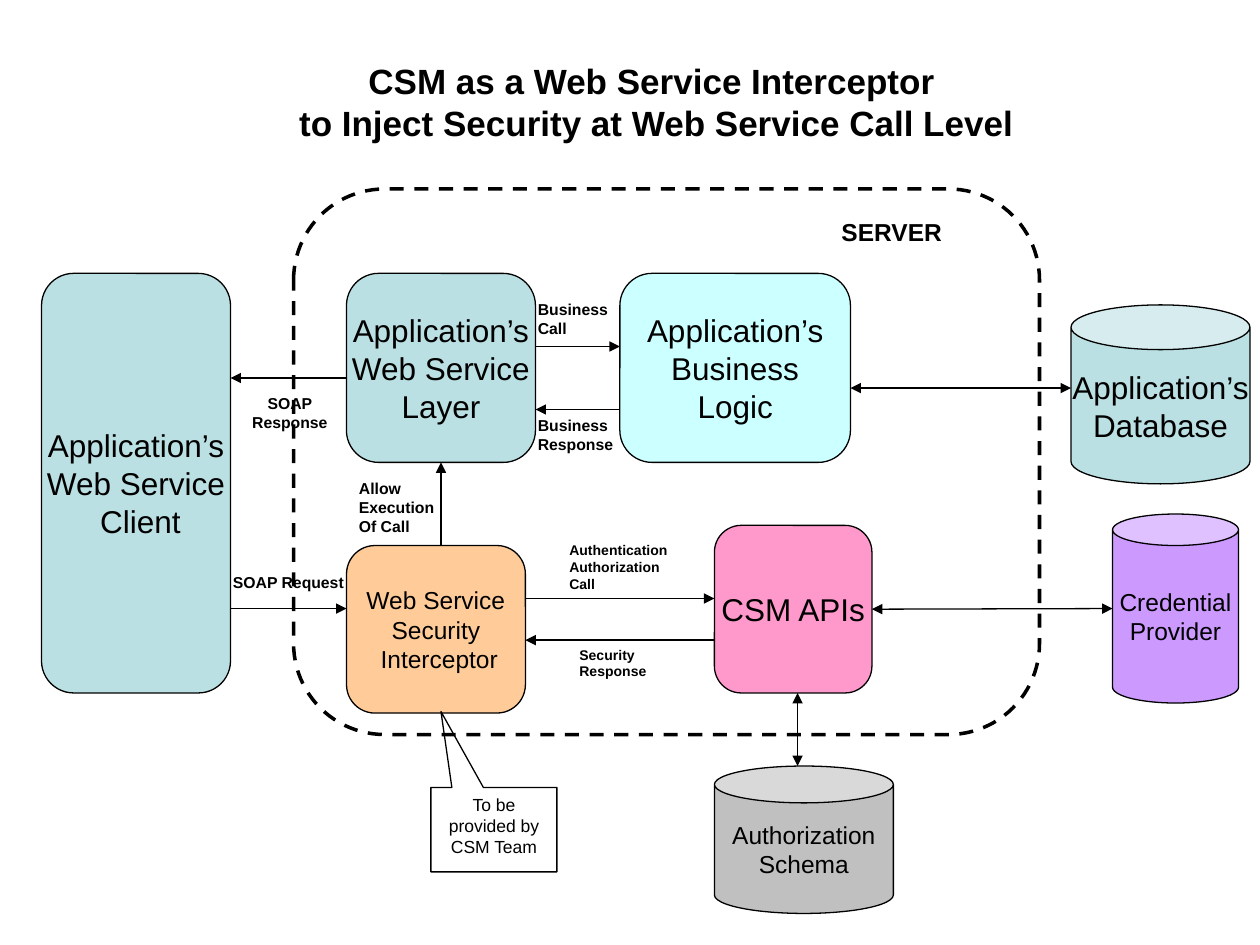
from lxml.etree import SubElement
from pptx import Presentation
from pptx.dml.color import RGBColor
from pptx.enum.dml import MSO_LINE
from pptx.enum.shapes import MSO_CONNECTOR, MSO_SHAPE
from pptx.enum.text import MSO_ANCHOR, MSO_AUTO_SIZE, PP_ALIGN
from pptx.oxml.ns import qn
from pptx.util import Inches, Pt

COLORS = {
    "black": "000000", "teal": "BBE0E3", "cyan": "CCFFFF", "orange": "FFCC99",
    "pink": "FF99CC", "purple": "CC99FF", "gray": "C0C0C0",
}


def write_text(shape, text, size, bold=False, align=PP_ALIGN.CENTER):
    frame = shape.text_frame
    frame.text = text
    font_format = {"name": "Arial", "size": Pt(size), "bold": bold}
    for paragraph in frame.paragraphs:
        paragraph.alignment = align
        for attribute, value in font_format.items():
            setattr(paragraph.font, attribute, value)
        paragraph.font.color.rgb = RGBColor.from_string(COLORS["black"])


def add_outlined(kind, box, fill=None, width=0.75):
    """Add a preset shape with a black outline; without a fill it is hollow."""
    shape = slide.shapes.add_shape(kind, *map(Inches, box))
    shape.shadow.inherit = False
    if fill:
        shape.fill.solid()
        shape.fill.fore_color.rgb = RGBColor.from_string(COLORS[fill])
    else:
        shape.fill.background()
    shape.line.color.rgb = RGBColor.from_string(COLORS["black"])
    shape.line.width = Pt(width)
    return shape


presentation = Presentation()
presentation.slide_width = Inches(10)
presentation.slide_height = Inches(7.5)
slide = presentation.slides.add_slide(presentation.slide_layouts[6])

# Components: name, preset, box, fill, text, size
ROUNDED, CAN = MSO_SHAPE.ROUNDED_RECTANGLE, MSO_SHAPE.CAN
components = [
    ("layer", ROUNDED, (2.75, 2.17, 1.5, 1.5), "teal", "Application’s\nWeb Service\nLayer", 18),
    ("interceptor", ROUNDED, (2.75, 4.33, 1.42, 1.33), "orange",
     "Web Service\nSecurity\n Interceptor", 14),
    ("apis", ROUNDED, (5.67, 4.17, 1.25, 1.33), "pink", "CSM APIs", 18),
    ("schema", CAN, (5.67, 6.08, 1.42, 1.17), "gray", "Authorization\nSchema", 14),
    ("provider", CAN, (8.83, 4.08, 1, 1.5), "purple", "Credential\nProvider", 14),
    ("client", ROUNDED, (0.33, 2.17, 1.5, 3.33), "teal", "Application’s\nWeb Service\n Client", 18),
    ("logic", ROUNDED, (4.92, 2.17, 1.83, 1.5), "cyan", "Application’s\nBusiness\nLogic", 18),
    ("database", CAN, (8.5, 2.42, 1.42, 1.42), "teal", "Application’s\nDatabase", 18),
]
shapes = {}
for name, kind, box, fill, text, size in components:
    shape = add_outlined(kind, box, fill)
    shape.adjustments[0] = 0.25 if kind == CAN else 0.17
    shape.text_frame.word_wrap = False
    shape.text_frame.vertical_anchor = MSO_ANCHOR.MIDDLE
    write_text(shape, text, size)
    shapes[name] = shape

# Arrows: start, end, arrowhead at both ends
arrows = {
    "authorization call": ((4.17, 4.75), (5.67, 4.75), False),
    "security response": ((5.67, 5.08), (4.17, 5.08), False),
    "credentials": ((6.92, 4.83), (8.83, 4.83), True),
    "schema access": ((6.33, 6.08), (6.33, 5.5), True),
    "request": ((1.83, 4.83), (2.75, 4.83), False),
    "response": ((2.75, 3), (1.83, 3), False),
    "allow": ((3.5, 4.33), (3.5, 3.67), False),
    "business call": ((4.25, 2.75), (4.92, 2.75), False),
    "business response": ((4.92, 3.25), (4.25, 3.25), False),
    "data access": ((6.75, 3.08), (8.5, 3.08), True),
}
connectors = {}
for name, (start, end, two_way) in arrows.items():
    connector = slide.shapes.add_connector(
        MSO_CONNECTOR.STRAIGHT, *map(Inches, start + end))
    connector.line.color.rgb = RGBColor.from_string(COLORS["black"])
    connector.line.width = Pt(0.75)
    line = connector.line._get_or_add_ln()
    for tag in ("a:headEnd", "a:tailEnd") if two_way else ("a:tailEnd",):
        SubElement(line, qn(tag), type="triangle")
    SubElement(connector._element.spPr, qn("a:effectLst"))
    connectors[name] = connector
connectors["credentials"].begin_connect(shapes["apis"], 3)
connectors["allow"].end_connect(shapes["layer"], 2)

server = add_outlined(MSO_SHAPE.FLOWCHART_ALTERNATE_PROCESS, (2.33, 1.5, 5.92, 4.33), width=2)
server.line.dash_style = MSO_LINE.DASH

callout = add_outlined(MSO_SHAPE.RECTANGULAR_CALLOUT, (3.42, 6.25, 1, 0.67))
callout.adjustments[0], callout.adjustments[1] = -0.42, -1.4
callout.text_frame.word_wrap = True
callout.text_frame.vertical_anchor = MSO_ANCHOR.TOP
write_text(callout, "To be provided by CSM Team", 10)

# Labels: text, box, size, alignment
LEFT, CENTER = PP_ALIGN.LEFT, PP_ALIGN.CENTER
labels = [
    ("CSM as a Web Service Interceptor \nto Inject Security at Web Service Call Level",
     (1.92, 0.42, 6.58, 0.77), 20, CENTER),
    ("SERVER", (6.58, 1.67, 1.1, 0.34), 14, LEFT),
    ("SOAP Request", (1.75, 4.5, 1.1, 0.25), 9, LEFT),
    ("SOAP Response", (1.75, 3.08, 1.1, 0.4), 9, CENTER),
    ("Allow Execution Of Call", (2.75, 3.75, 0.92, 0.55), 9, LEFT),
    ("Authentication\vAuthorization Call", (4.42, 4.25, 1, 0.5), 8, LEFT),
    ("Security Response", (4.5, 5.08, 1, 0.37), 8, LEFT),
    ("Business\nCall", (4.17, 2.33, 0.92, 0.4), 9, LEFT),
    ("Business\nResponse", (4.17, 3.25, 0.92, 0.4), 9, LEFT),
]
for text, box, size, align in labels:
    label = slide.shapes.add_textbox(*map(Inches, box))
    label.text_frame.word_wrap = True
    label.text_frame.auto_size = MSO_AUTO_SIZE.SHAPE_TO_FIT_TEXT
    write_text(label, text, size, bold=True, align=align)

presentation.save("out.pptx")
